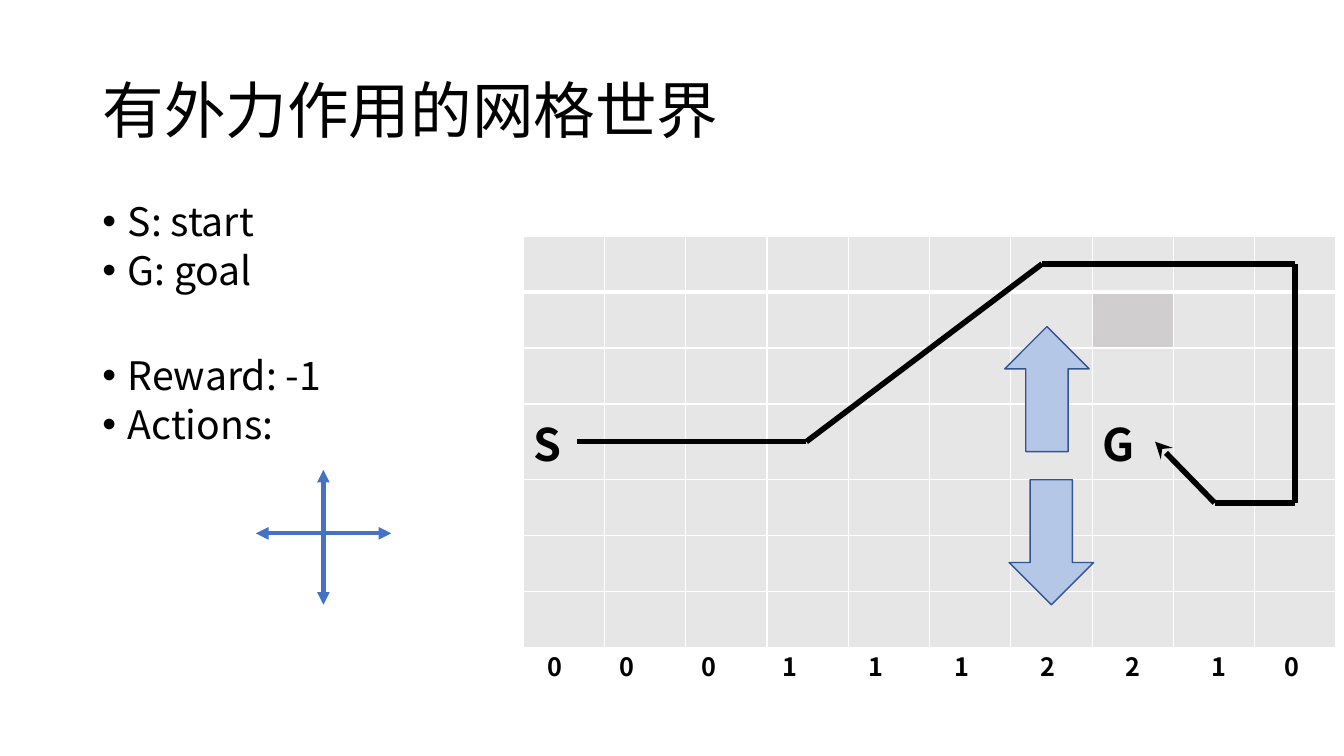
"""Build the slide of the grid world with an external force."""
import pptx
import pptx.util
import pptx.dml.color
import pptx.enum.shapes
import pptx.enum.text
import pptx.oxml
import pptx.oxml.ns
from lxml import etree

Cm, Pt = pptx.util.Cm, pptx.util.Pt
SHAPE = pptx.enum.shapes.MSO_SHAPE
FONT = "Noto Sans CJK SC"
BLACK, WHITE, GREY, BLUE = "000000", "FFFFFF", "D0CECE", "4472C4"
qn = pptx.oxml.ns.qn
rgb = pptx.dml.color.RGBColor.from_string


def add_run(paragraph, text, size, bold=False):
    run = paragraph.add_run()
    run.text = text
    run.font.name, run.font.size, run.font.bold = FONT, Pt(size), bold
    run.font.color.rgb = rgb(BLACK)
    etree.SubElement(run.font._element, qn("a:ea"), typeface=FONT)


def add_line(start, end, color, width, head=None, tail=None):
    line = slide.shapes.add_connector(
        pptx.enum.shapes.MSO_CONNECTOR.STRAIGHT,
        Cm(start[0]), Cm(start[1]), Cm(end[0]), Cm(end[1]))
    line.line.color.rgb = rgb(color)
    line.line.width = Pt(width)
    for tag, arrow in (("a:headEnd", head), ("a:tailEnd", tail)):
        if arrow:
            etree.SubElement(line.line._get_or_add_ln(), qn(tag), type=arrow)
    etree.SubElement(line._element.spPr, qn("a:effectLst"))


deck = pptx.Presentation()
deck.slide_width, deck.slide_height = Cm(33.87), Cm(19.05)
slide = deck.slides.add_slide(deck.slide_layouts[5])

title = slide.shapes.title
title.left, title.top, title.width, title.height = Cm(2.33), Cm(1.01), Cm(29.21), Cm(3.68)
title.text_frame.vertical_anchor = pptx.enum.text.MSO_ANCHOR.MIDDLE
heading = title.text_frame.paragraphs[0]
heading.alignment = pptx.enum.text.PP_ALIGN.LEFT
heading.line_spacing = 0.9
add_run(heading, "有外力作用的网格世界", 44)

rules = slide.shapes.add_textbox(Cm(2.33), Cm(5.08), Cm(10.5), Cm(12.09)).text_frame
rules.word_wrap = True
for index, (rule, space) in enumerate(
        [("S: start", 8), ("G: goal", 8), ("Reward: -1", 48.4), ("Actions:", 8)]):
    paragraph = rules.add_paragraph() if index else rules.paragraphs[0]
    paragraph.line_spacing = 0.8
    paragraph.space_before = Pt(space if index else 0)
    properties = paragraph._p.get_or_add_pPr()
    properties.set("marL", str(Cm(0.64)))
    properties.set("indent", str(-Cm(0.64)))
    etree.SubElement(properties, qn("a:buFont"), typeface="Arial")
    etree.SubElement(properties, qn("a:buChar"), char="•")
    add_run(paragraph, rule, 28)

add_line((8.15, 11.84), (8.15, 15.24), BLUE, 3, "triangle", "triangle")
add_line((9.86, 13.44), (6.45, 13.44), BLUE, 3, "triangle", "triangle")

ROWS, COLUMNS, STATE_ROW = 7, 10, 3
labels = {(STATE_ROW, 0): "S", (STATE_ROW, 7): "G"}
dark_cell = (1, 7)
grid = slide.shapes.add_table(
    ROWS, COLUMNS, Cm(13.18), Cm(5.95), Cm(20.5), Cm(10.37)).table
grid.first_row = grid.horz_banding = False
for column in grid.columns:
    column.width = Cm(2.05)
for row, grid_row in enumerate(grid.rows):
    grid_row.height = Cm(1.91 if row == STATE_ROW else 1.41)
    for column, cell in enumerate(grid_row.cells):
        cell.fill.solid()
        cell.fill.fore_color.rgb = rgb(GREY)
        cell_properties = cell._tc.get_or_add_tcPr()
        if (row, column) != dark_cell:
            fill_color = cell_properties.find(".//" + qn("a:srgbClr"))
            etree.SubElement(fill_color, qn("a:alpha"), val="50000")
        for position, side in enumerate("LRTB"):
            thick = (row, side) in ((0, "B"), (1, "T"))
            border = etree.Element(qn("a:ln" + side), w=str(Pt(3 if thick else 1)))
            border_fill = etree.SubElement(border, qn("a:solidFill"))
            etree.SubElement(border_fill, qn("a:srgbClr"), val=WHITE)
            cell_properties.insert(position, border)
        if (row, column) in labels:
            add_run(cell.text_frame.paragraphs[0], labels[row, column], 32, True)

forces = slide.shapes.add_group_shape()
force_lefts = [13.56, 15.37, 17.42, 19.48, 21.64, 23.8, 25.96, 28.12, 30.28, 32.11]
for force, left in zip("0001112210", force_lefts):
    force_text = forces.shapes.add_textbox(Cm(left), Cm(16.28), Cm(1.09), Cm(1.02)).text_frame
    force_text.word_wrap = True
    add_run(force_text.paragraphs[0], force, 18, True)

route = [(14.55, 11.13), (20.32, 11.13), (26.26, 6.65), (32.64, 6.65),
         (32.64, 12.67), (30.61, 12.67), (29.11, 11.13)]
for start, end in zip(route, route[1:]):
    add_line(start, end, BLACK, 4, tail="stealth" if end == route[-1] else None)

for direction, left, top in ((SHAPE.UP_ARROW, 25.32, 8.23), (SHAPE.DOWN_ARROW, 25.43, 12.09)):
    wind = slide.shapes.add_shape(direction, Cm(left), Cm(top), Cm(2.13), Cm(3.15))
    wind.shadow.inherit = False
    wind.fill.solid()
    wind.fill.fore_color.rgb = rgb("B4C7E7")
    wind.line.color.rgb = rgb("325491")
    wind.line.width = Pt(1)

deck.save("out.pptx")
